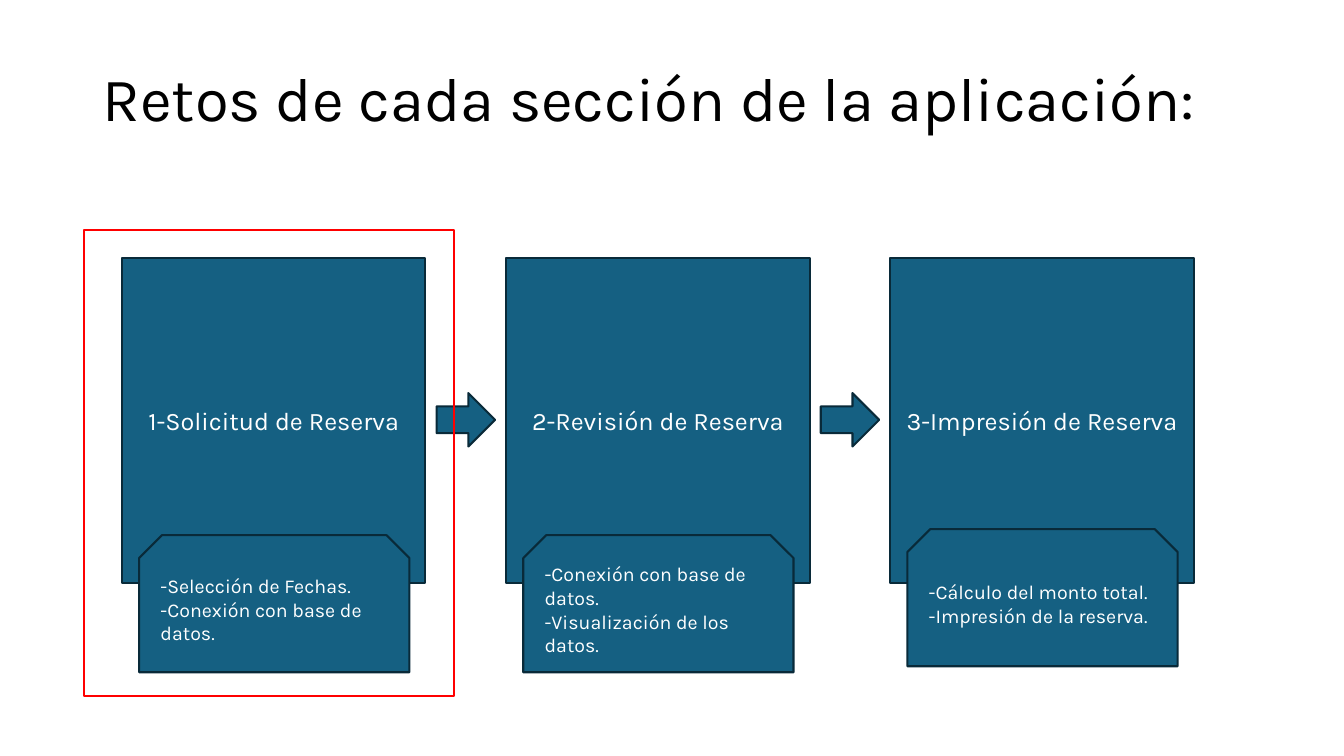
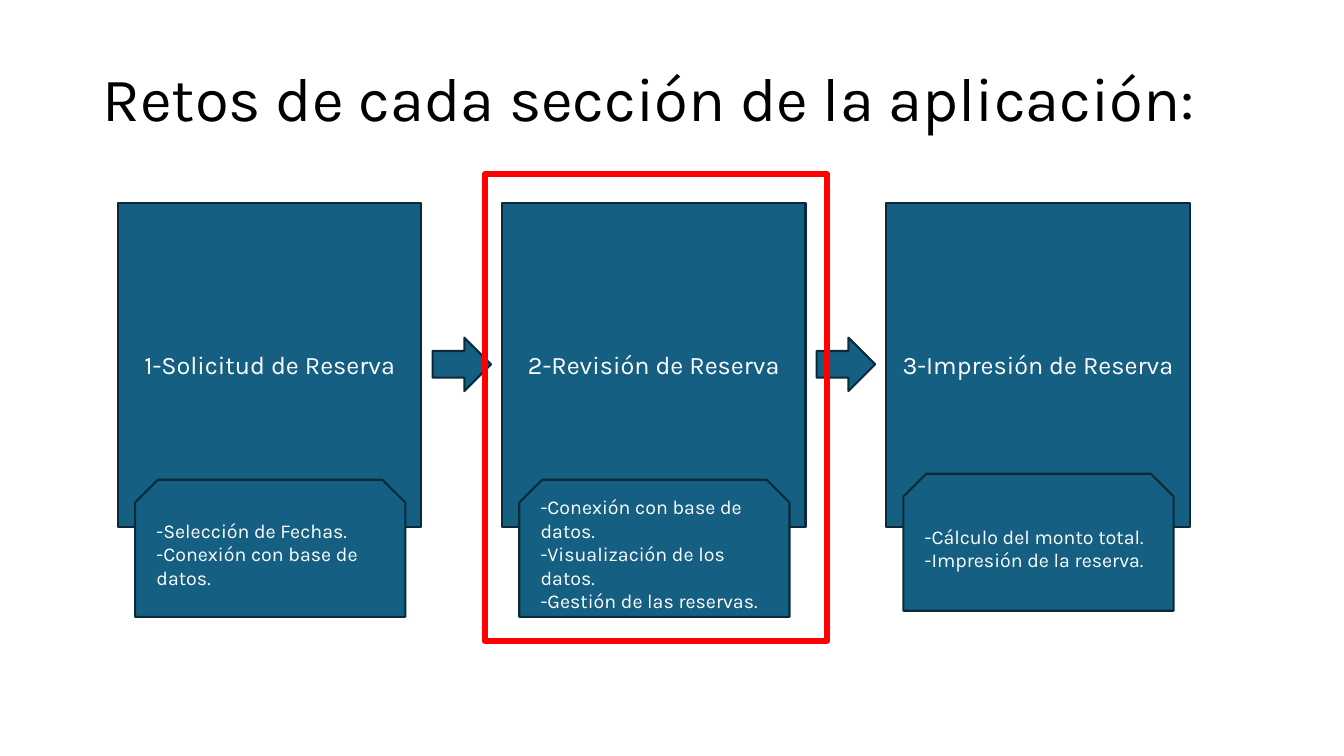
from pptx import Presentation
from pptx.dml.color import RGBColor
from pptx.enum.shapes import MSO_SHAPE
from pptx.enum.text import MSO_ANCHOR, PP_ALIGN
from pptx.util import Inches, Pt

RECTANGLE = MSO_SHAPE.RECTANGLE
RIGHT_ARROW = MSO_SHAPE.RIGHT_ARROW
SNIPPED = MSO_SHAPE.SNIP_2_SAME_RECTANGLE
MIDDLE = MSO_ANCHOR.MIDDLE
LEFT, CENTER = PP_ALIGN.LEFT, PP_ALIGN.CENTER

FONT = "Karla"
COLORS = {"title": "000000", "box": "156082", "outline": "092A39", "text": "FFFFFF", "highlight": "FF0000"}
TITLE = "Retos de cada sección de la aplicación:"
SECTIONS = ["1-Solicitud de Reserva", "2-Revisión de Reserva", "3-Impresión de Reserva"]
REQUEST = ["-Selección de Fechas.", "-Conexión con base de datos."]
REVIEW = ["-Conexión con base de datos.", "-Visualización de los datos."]
PRINTING = ["-Cálculo del monto total.", "-Impresión de la reserva."]
COLUMN_STEP = 3.81
CHALLENGE_OFFSETS = [2.75, 2.75, 2.69]

SLIDES = [
    {"left": 1.21, "top": 2.56, "challenges": [REQUEST, REVIEW, PRINTING],
     "highlight": (0.83, 2.28, 3.67, 4.63), "highlight_width": 1.5},
    {"left": 1.17, "top": 2.01, "challenges": [REQUEST, REVIEW + ["-Gestión de las reservas."], PRINTING],
     "highlight": (4.81, 1.73, 3.39, 4.63), "highlight_width": 4.5},
]


def write_lines(shape, lines, size, color, alignment):
    frame = shape.text_frame
    frame.word_wrap = True
    frame.vertical_anchor = MIDDLE
    frame.text = "\n".join(lines)
    for paragraph in frame.paragraphs:
        paragraph.alignment = alignment
        paragraph.font.name = FONT
        paragraph.font.size = Pt(size)
        paragraph.font.color.rgb = RGBColor.from_string(COLORS[color])


def add_outlined_shape(slide, kind, bounds, fill="box", outline="outline", width=1.5):
    shape = slide.shapes.add_shape(kind, *map(Inches, bounds))
    shape.shadow.inherit = False
    if fill:
        shape.fill.solid()
        shape.fill.fore_color.rgb = RGBColor.from_string(COLORS[fill])
    else:
        shape.fill.background()
    shape.line.color.rgb = RGBColor.from_string(COLORS[outline])
    shape.line.width = Pt(width)
    return shape


presentation = Presentation()
presentation.slide_width = Inches(13.33)
presentation.slide_height = Inches(7.5)

for content in SLIDES:
    slide = presentation.slides.add_slide(presentation.slide_layouts[6])
    left, top = content["left"], content["top"]
    columns = [left + COLUMN_STEP * index for index in range(len(SECTIONS))]

    title = slide.shapes.add_textbox(Inches(0.92), Inches(0.51), Inches(11.5), Inches(1))
    write_lines(title, [TITLE], 44, "title", LEFT)
    title.text_frame.paragraphs[0].line_spacing = 0.9

    for column, section in zip(columns, SECTIONS):
        box = add_outlined_shape(slide, RECTANGLE, (column, top, 3.01, 3.22))
        write_lines(box, [section], 18, "text", CENTER)

    for column in columns[:-1]:
        add_outlined_shape(slide, RIGHT_ARROW, (column + 3.12, top + 1.34, 0.58, 0.53))

    for column, offset, challenges in zip(columns, CHALLENGE_OFFSETS, content["challenges"]):
        card = add_outlined_shape(slide, SNIPPED, (column + 0.17, top + offset, 2.68, 1.36))
        write_lines(card, challenges, 14, "text", LEFT)

    add_outlined_shape(slide, RECTANGLE, content["highlight"], None, "highlight", content["highlight_width"])

presentation.save("out.pptx")
